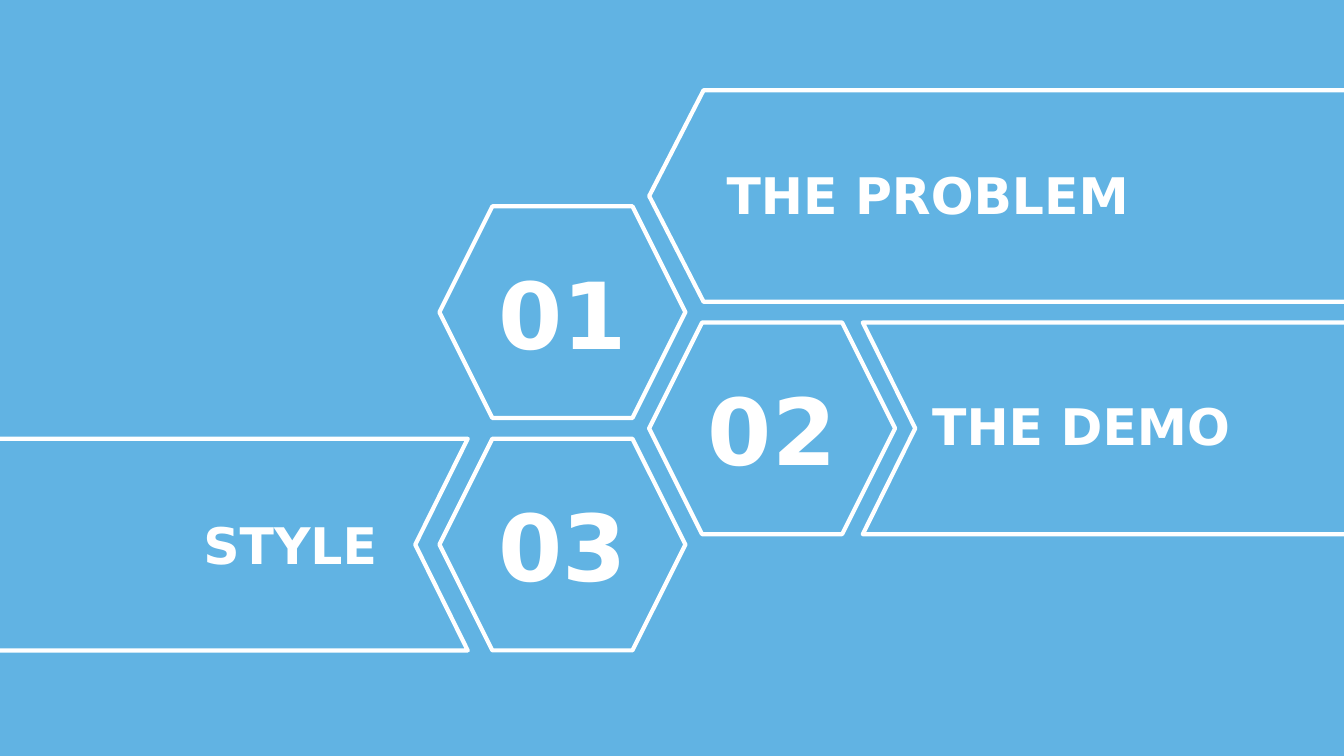
import pptx
import pptx.util
import pptx.dml.color
import pptx.enum.shapes
import pptx.enum.text

Pt = pptx.util.Pt
KIND = pptx.enum.shapes.MSO_SHAPE
ALIGN = pptx.enum.text.PP_ALIGN
COLORS = {"back": "61B3E3", "ink": "FFFFFF"}
FONT = "DejaVu Sans"

# Honeycomb grid: two columns, rows half a cell apart
WIDE, HIGH = 175.7, 151.2
LEFT, RIGHT = 313.9, 463.7
TOP, STEP = 64.4, 83
ARM = 477.4  # length of a chevron band


def color(name):
    return pptx.dml.color.RGBColor.from_string(COLORS[name])


def row(num):
    return TOP + num * STEP


def write(frame, text, size, align):
    frame.word_wrap = True
    para = frame.paragraphs[0]
    para.alignment = align
    run = para.add_run()
    run.text = text
    run.font.name = FONT
    run.font.size = Pt(size)
    run.font.bold = True
    run.font.color.rgb = color("ink")


def outline(group, kind, x, y, width, adjust=None, turn=0):
    shape = group.shapes.add_shape(kind, Pt(x), Pt(y), Pt(width), Pt(HIGH))
    shape.shadow.inherit = False
    shape.fill.background()
    shape.line.color.rgb = color("ink")
    shape.line.width = Pt(3)
    shape.rotation = turn
    if adjust is not None:
        shape.adjustments[0] = adjust
    return shape


def cell(group, text, x, y):
    frame = outline(group, KIND.HEXAGON, x, y, WIDE).text_frame
    frame.vertical_anchor = pptx.enum.text.MSO_ANCHOR.MIDDLE
    write(frame, text, 66, ALIGN.CENTER)


def label(group, text, x, y, width):
    box = group.shapes.add_textbox(Pt(x), Pt(y), Pt(width), Pt(51.1))
    write(box.text_frame, text, 36, ALIGN.LEFT)
    box.text_frame.auto_size = pptx.enum.text.MSO_AUTO_SIZE.SHAPE_TO_FIT_TEXT


def main():
    deck = pptx.Presentation()
    deck.slide_width, deck.slide_height = Pt(960), Pt(540)
    slide = deck.slides.add_slide(deck.slide_layouts[6])
    slide.background.fill.solid()
    slide.background.fill.fore_color.rgb = color("back")
    group = slide.shapes.add_group_shape()

    # Numbers, each with its band running off the slide edge
    cell(group, "01", LEFT, row(1))
    outline(group, KIND.PENTAGON, RIGHT, row(0), 560.9, 0.257, 180)
    cell(group, "02", RIGHT, row(2))
    outline(group, KIND.CHEVRON, 616.3, row(2), ARM, 0.248)
    cell(group, "03", LEFT, row(3))
    outline(group, KIND.CHEVRON, -143.3, row(3), ARM, 0.248, 180)

    # Band labels
    label(group, "STYLE", 138.2, 363.6, WIDE)
    label(group, "THE DEMO", 658.8, 278.6, 329.8)
    label(group, "THE PROBLEM", 511.9, 113.8, 349.2)

    deck.save("out.pptx")


main()
